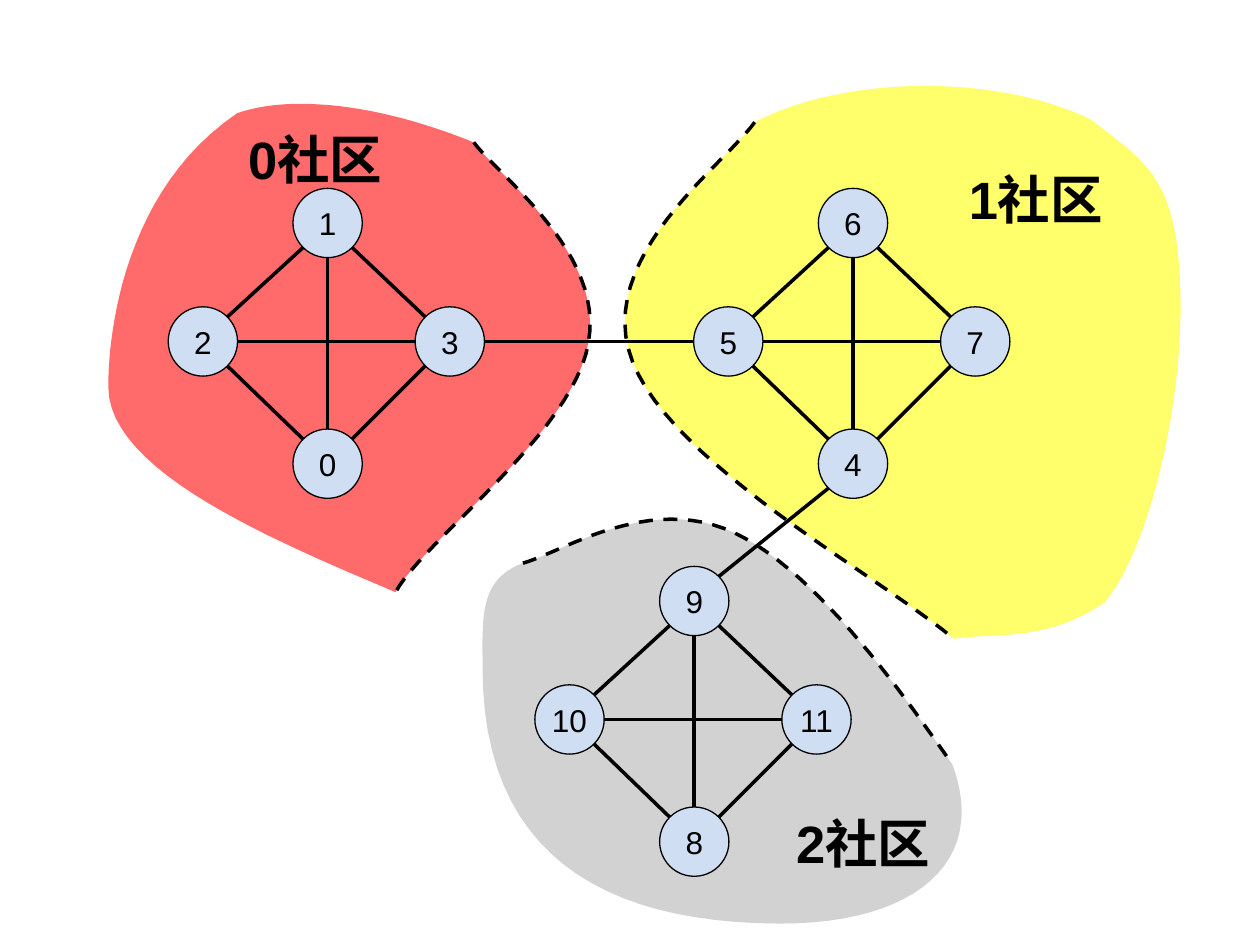
"""Draw a graph of twelve nodes split into three communities."""
from collections import namedtuple
from itertools import combinations
from lxml import etree
from pptx import Presentation
from pptx.dml.color import RGBColor
from pptx.enum.dml import MSO_LINE
from pptx.enum.shapes import MSO_CONNECTOR, MSO_SHAPE
from pptx.enum.text import MSO_ANCHOR, PP_ALIGN
from pptx.oxml.ns import qn
from pptx.util import Inches, Pt

OVAL = MSO_SHAPE.OVAL
STRAIGHT = MSO_CONNECTOR.STRAIGHT
DASH = MSO_LINE.DASH
MIDDLE, TOP = MSO_ANCHOR.MIDDLE, MSO_ANCHOR.TOP
CENTER, LEFT = PP_ALIGN.CENTER, PP_ALIGN.LEFT
BLACK = RGBColor(0x00, 0x00, 0x00)
BLUE = RGBColor(0xCF, 0xDE, 0xF3)
RED = RGBColor(0xFF, 0x00, 0x00)
YELLOW = RGBColor(0xFF, 0xFF, 0x00)
GRAY = RGBColor(0xB2, 0xB2, 0xB2)

deck = Presentation()
deck.slide_width, deck.slide_height = Inches(10), Inches(7.5)
CELL = deck.slide_width // 10
FINE = 1000
STEPS = 24
SIZE = 0.55
RIM = SIZE / 2
SLANT = RIM * 0.5 ** 0.5
SPREAD = {"low": (0, 0.97), "high": (0, -0.94), "left": (-0.99, 0), "right": (0.97, 0)}
slide = deck.slides.add_slide(deck.slide_layouts[6])
shapes = slide.shapes


def write(shape, text, size=18, bold=False, align=CENTER, anchor=MIDDLE, wrap=False):
    frame = shape.text_frame
    frame.word_wrap = wrap
    frame.vertical_anchor = anchor
    para = frame.paragraphs[0]
    para.alignment = align
    run = para.add_run()
    run.text = text
    run.font.name, run.font.size, run.font.bold = "Arial", Pt(size), bold
    run.font.color.rgb = BLACK


def trace(knots, close):
    points = [knots[0]]
    for first in range(0, len(knots) - 1, 3):
        for step in range(1, STEPS + 1):
            t = step / STEPS
            shares = (1 - t) ** 3, 3 * t * (1 - t) ** 2, 3 * t * t * (1 - t), t ** 3
            pairs = list(zip(shares, knots[first:first + 4]))
            points.append([sum(share * knot[axis] for share, knot in pairs) for axis in (0, 1)])
    grid = [(x * FINE, y * FINE) for x, y in points]
    pen = shapes.build_freeform(*grid[0], scale=CELL / FINE)
    pen.add_line_segments(grid[1:], close=close)
    shape = pen.convert_to_shape()
    shape.shadow.inherit = False
    return shape


Group = namedtuple("Group", "title label color center names border outer")
groups = [
    Group("2社区", (6.22, 6.39, 1.67, 0.6), GRAY, (5.51, 5.71), (8, 9, 10, 11),
          border=[(4.15, 4.47), (4.45, 4.39), (5.15, 3.91), (5.83, 4.23),
                  (6.51, 4.55), (7.23, 5.6), (7.56, 6.07)],
          outer=[(7.85, 6.85), (7.25, 7.33), (6.2, 7.33),
                 (4.75, 7.33), (3.83, 6.75), (3.83, 5.3),
                 (3.83, 4.9), (3.8, 4.6)]),
    Group("1社区", (7.59, 1.28, 1.78, 0.6), YELLOW, (6.77, 2.71), (4, 6, 5, 7),
          border=[(5.99, 0.97), (5.75, 1.31), (4.7, 2.05), (5.02, 2.87),
                  (5.34, 3.69), (6.96, 4.56), (7.57, 5.07)],
          outer=[(7.9, 5.02), (8.3, 5.1), (8.77, 4.78),
                 (9.15, 4.3), (9.37, 3.2), (9.37, 2.45),
                 (9.37, 1.4), (9.1, 1.3), (8.66, 0.95),
                 (7.9, 0.58), (6.7, 0.6)]),
    Group("0社区", (1.87, 0.96, 2.59, 0.6), RED, (2.6, 2.71), (0, 1, 2, 3),
          border=[(3.76, 1.13), (3.97, 1.41), (4.8, 2.01), (4.67, 2.72),
                  (4.55, 3.44), (3.35, 4.3), (3.14, 4.7)],
          outer=[(2.2, 4.3), (0.86, 3.75), (0.86, 3.07),
                 (0.86, 2.6), (1.0, 1.5), (1.88, 0.9),
                 (2.3, 0.75), (3.0, 0.82)]),
]

for group in groups:
    area = trace(group.border + group.outer + group.border[:1], True)
    area.fill.solid()
    area.fill.fore_color.rgb = group.color
    area.line.fill.background()
    tint = area._element.spPr.find(qn("a:solidFill"))[0]
    etree.SubElement(tint, qn("a:alpha")).set("val", "58000")

nodes, links = {}, [(3, 5), (4, 9)]
for group in groups:
    links += combinations(group.names, 2)
    for name, (dx, dy) in zip(group.names, SPREAD.values()):
        x, y = nodes[name] = group.center[0] + dx, group.center[1] + dy
        dot = shapes.add_shape(OVAL, *[int(v * CELL) for v in (x - RIM, y - RIM, SIZE, SIZE)])
        dot.shadow.inherit = False
        dot.fill.solid()
        dot.fill.fore_color.rgb = BLUE
        dot.line.color.rgb, dot.line.width = BLACK, Pt(0.75)
        write(dot, str(name))

for start, end in links:
    (ax, ay), (bx, by) = nodes[start], nodes[end]
    sx, sy = (bx > ax) - (bx < ax), (by > ay) - (by < ay)
    reach = SLANT if sx and sy else RIM
    ends = ax + sx * reach, ay + sy * reach, bx - sx * reach, by - sy * reach
    link = shapes.add_connector(STRAIGHT, *[int(v * CELL) for v in ends])
    link.line.color.rgb, link.line.width = BLACK, Pt(2)
    etree.SubElement(link._element.spPr, qn("a:effectLst"))

for group in groups:
    edge = trace(group.border, False)
    edge.fill.background()
    edge.line.color.rgb, edge.line.width = BLACK, Pt(2)
    edge.line.dash_style = DASH
    box = shapes.add_textbox(*[int(v * CELL) for v in group.label])
    write(box, group.title, size=30, bold=True, align=LEFT, anchor=TOP, wrap=True)

deck.save("out.pptx")
